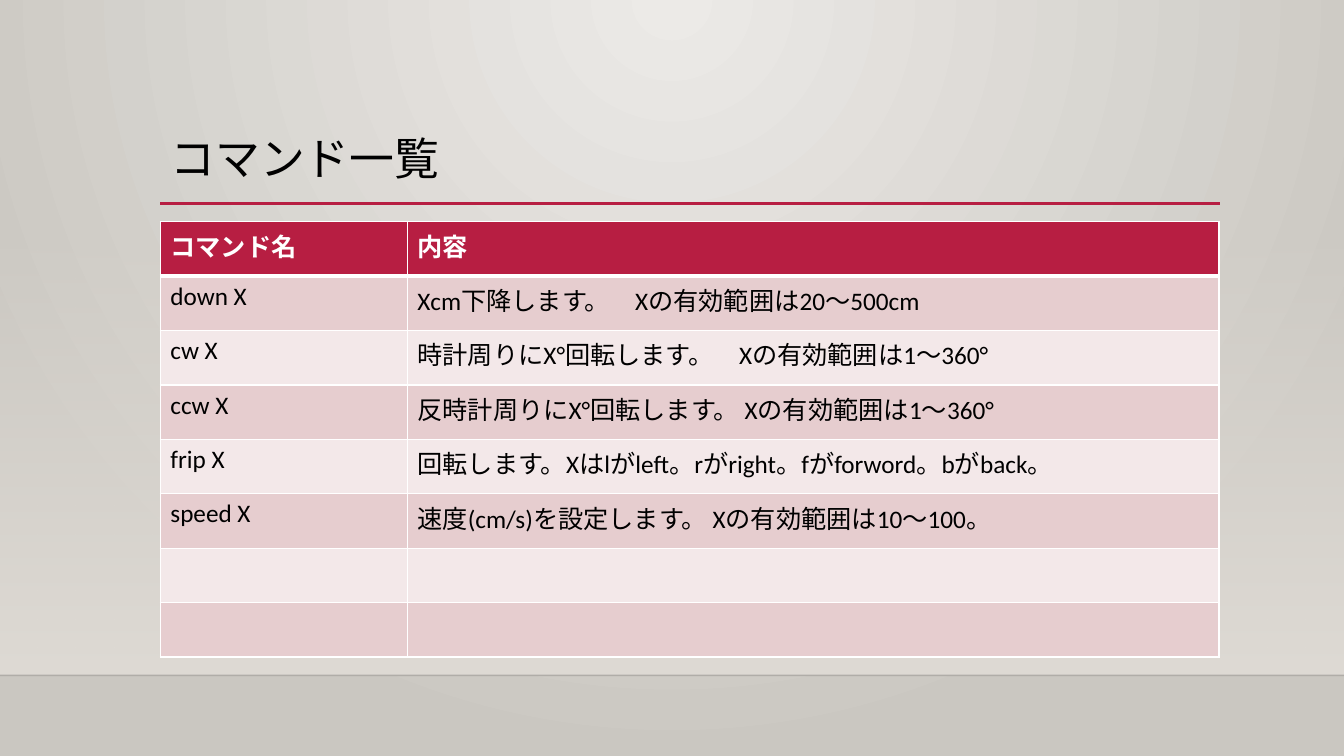
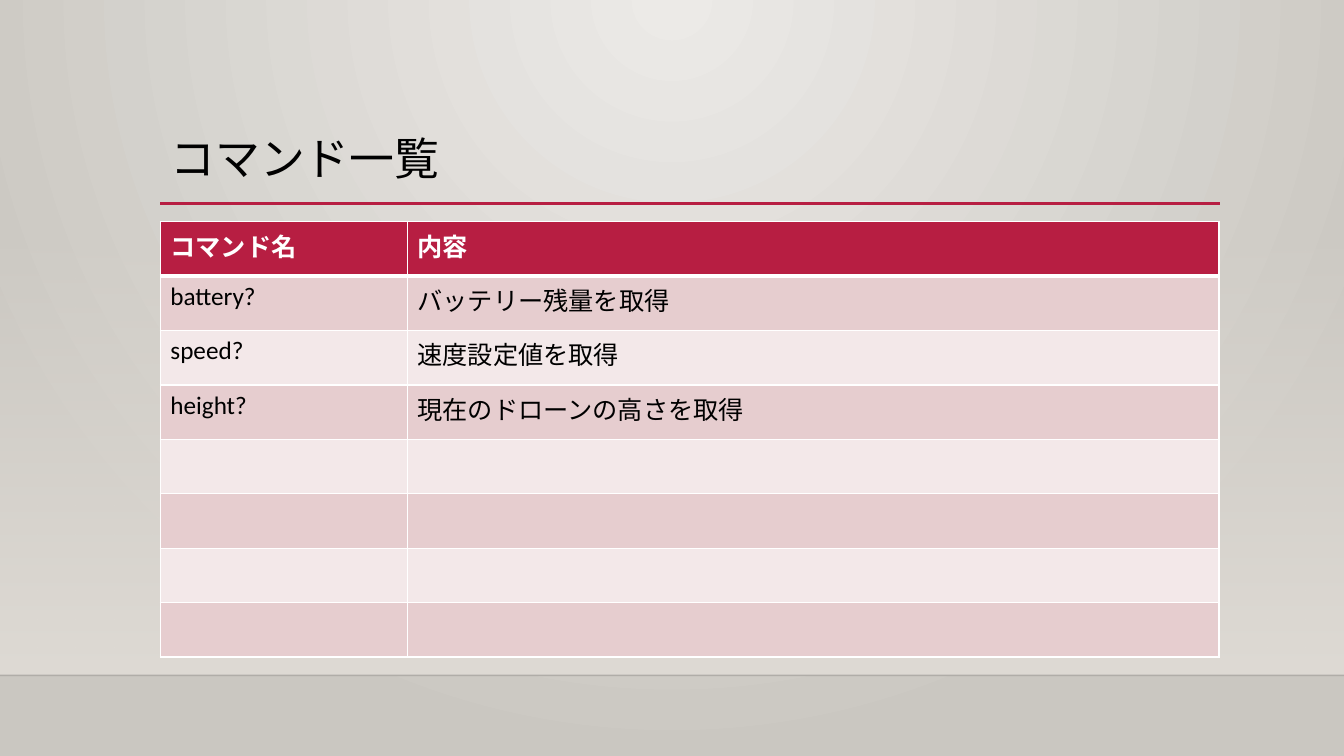
from lxml import etree
from pptx import Presentation
from pptx.dml.color import RGBColor
from pptx.enum import shapes, text
from pptx.enum.lang import MSO_LANGUAGE_ID
from pptx.oxml.ns import qn
from pptx.util import Inches, Pt

FONT = "Calibri"
BLACK = RGBColor(0x00, 0x00, 0x00)
WHITE = RGBColor(0xFF, 0xFF, 0xFF)
CRIMSON = RGBColor(0xB7, 0x1E, 0x42)
ROW_DARK = RGBColor(0xE6, 0xCD, 0xCF)
ROW_LIGHT = RGBColor(0xF3, 0xE8, 0xE9)
BG_CENTRE = RGBColor(0xEC, 0xEA, 0xE7)
BG_EDGE = RGBColor(0xCA, 0xC7, 0xC1)
BAND = RGBColor(0xDF, 0xDB, 0xD5)

WIDTH, HEIGHT = 13.33, 7.5
LEFT, CONTENT_WIDTH = 1.59, 10.5
BAND_TOP, FLOOR = 2.21, 6.7
COLUMNS = (2.45, 8.05)
ROW_COUNT, ROW_HEIGHT = 8, 0.54

TITLE = "コマンド一覧"
HEADER = ("コマンド名", "内容")
CONTROL_COMMANDS = [
    ("down X", "Xcm下降します。　Xの有効範囲は20～500cm"),
    ("cw X", "時計周りにX°回転します。　Xの有効範囲は1～360°"),
    ("ccw X", "反時計周りにX°回転します。 Xの有効範囲は1～360°"),
    ("frip X", "回転します。Xはlがleft。rがright。fがforword。bがback。"),
    ("speed X", "速度(cm/s)を設定します。 Xの有効範囲は10～100。"),
]
QUERY_COMMANDS = [
    ("battery?", "バッテリー残量を取得"),
    ("speed?", "速度設定値を取得"),
    ("height?", "現在のドローンの高さを取得"),
]


def add_text(tf, content, size=18, color=BLACK, bold=False, line_spacing=None):
    p = tf.paragraphs[0]
    p.alignment = text.PP_ALIGN.LEFT
    p.line_spacing = line_spacing
    r = p.add_run()
    r.text = content
    r.font.name = FONT
    r.font.size = Pt(size)
    r.font.bold = bold
    r.font.color.rgb = color
    r.font.language_id = MSO_LANGUAGE_ID.JAPANESE


def set_alpha(color_element, percent):
    etree.SubElement(color_element, qn("a:alpha"), val=str(percent * 1000))


def set_gradient(fill, start, end):
    fill.gradient()
    for stop, color in zip(fill.gradient_stops, (start, end)):
        stop.color.rgb = color


def set_background(master):
    """Give the master a circular gradient centred on the top edge."""
    set_gradient(master.background.fill, BG_CENTRE, BG_EDGE)
    grad = next(master._element.cSld.iter(qn("a:gradFill")))
    grad.remove(grad.find(qn("a:lin")))
    circle = etree.SubElement(grad, qn("a:path"), attrib={"path": "circle"})
    etree.SubElement(circle, qn("a:fillToRect"), l="43000", t="0", r="43000", b="100000")


def add_band(s):
    band = s.shapes.add_shape(
        shapes.MSO_SHAPE.RECTANGLE, 0, Inches(BAND_TOP), Inches(WIDTH), Inches(FLOOR - BAND_TOP))
    band.shadow.inherit = False
    band.line.fill.background()
    set_gradient(band.fill, BAND, BAND)
    band.fill.gradient_angle = 270
    set_alpha(next(band._element.spPr.iter(qn("a:srgbClr"))), 0)


def add_rule(s, left, right, y, color, width, alpha=100):
    rule = s.shapes.add_connector(
        shapes.MSO_CONNECTOR.STRAIGHT, Inches(left), Inches(y), Inches(right), Inches(y))
    rule.line.color.rgb = color
    rule.line.width = Pt(width)
    sp_pr = rule._element.spPr
    if alpha < 100:
        set_alpha(next(sp_pr.iter(qn("a:srgbClr"))), alpha)
    etree.SubElement(sp_pr, qn("a:effectLst"))


def set_title(s):
    title = s.shapes.title
    title.left, title.top = Inches(LEFT), Inches(1.31)
    title.width, title.height = Inches(CONTENT_WIDTH), Inches(0.71)
    tf = title.text_frame
    tf.word_wrap = True
    tf.auto_size = text.MSO_AUTO_SIZE.NONE
    tf.vertical_anchor = text.MSO_ANCHOR.TOP
    add_text(tf, TITLE, size=32, line_spacing=0.9)


def set_cell(cell, fill, top=1, bottom=1):
    """Fill a cell and draw its white borders; top and bottom are in points."""
    tc_pr = cell._tc.get_or_add_tcPr()
    for side, width in (("L", 1), ("R", 1), ("T", top), ("B", bottom)):
        ln = etree.SubElement(tc_pr, qn(f"a:ln{side}"), w=str(Pt(width)))
        solid = etree.SubElement(ln, qn("a:solidFill"))
        etree.SubElement(solid, qn("a:srgbClr"), val=str(WHITE))
    cell.fill.solid()
    cell.fill.fore_color.rgb = fill


def add_command_table(s, commands):
    table = s.shapes.add_table(
        ROW_COUNT, len(COLUMNS), Inches(LEFT), Inches(2.2),
        Inches(CONTENT_WIDTH), Inches(ROW_COUNT * ROW_HEIGHT)).table
    for column, width in zip(table.columns, COLUMNS):
        column.width = Inches(width)
    rows = [HEADER, *commands]
    for i, row in enumerate(table.rows):
        row.height = Inches(ROW_HEIGHT)
        header = i == 0
        fill = CRIMSON if header else ROW_DARK if i % 2 else ROW_LIGHT
        for j, cell in enumerate(row.cells):
            set_cell(cell, fill, top=3 if i == 1 else 1, bottom=3 if header else 1)
            if i < len(rows):
                add_text(cell.text_frame, rows[i][j],
                         color=WHITE if header else BLACK, bold=header)


def add_command_slide(prs, commands):
    s = prs.slides.add_slide(prs.slide_layouts.get_by_name("Title Only"))
    add_band(s)
    add_rule(s, 0, WIDTH, FLOOR, BLACK, 1, alpha=20)
    add_rule(s, LEFT, 12.1, 2.02, CRIMSON, 2.5)
    set_title(s)
    add_command_table(s, commands)


def main():
    prs = Presentation()
    prs.slide_width, prs.slide_height = Inches(WIDTH), Inches(HEIGHT)
    set_background(prs.slide_master)
    for commands in (CONTROL_COMMANDS, QUERY_COMMANDS):
        add_command_slide(prs, commands)
    prs.save("out.pptx")


if __name__ == "__main__":
    main()
